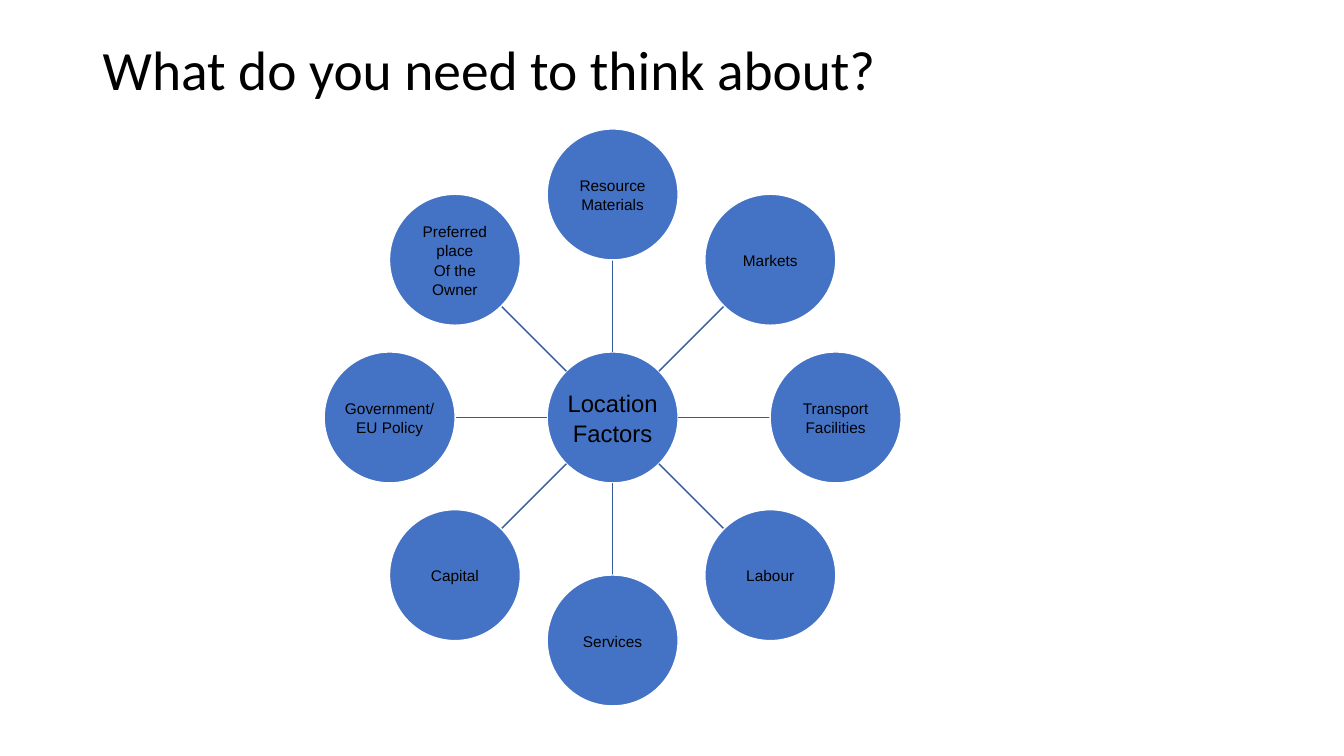
from dataclasses import dataclass
from math import cos, radians, sin

from lxml import etree
from pptx import Presentation
from pptx.dml.color import RGBColor
from pptx.enum.shapes import MSO_CONNECTOR, MSO_SHAPE
from pptx.enum.text import MSO_ANCHOR, PP_ALIGN
from pptx.oxml.ns import qn
from pptx.util import Cm, Pt

ELLIPSE = MSO_SHAPE.OVAL
STRAIGHT = MSO_CONNECTOR.STRAIGHT
MIDDLE = MSO_ANCHOR.MIDDLE
CENTER, LEFT = PP_ALIGN.CENTER, PP_ALIGN.LEFT

HUB_X, HUB_Y = 15.44, 10.52
RADIUS = 1.65
ORBIT = 5.62

# Clockwise from the top
FACTORS = [
    "Resource\nMaterials",
    "Markets",
    "Transport\nFacilities",
    "Labour",
    "Services",
    "Capital",
    "Government/\nEU Policy",
    "Preferred place\nOf the\nOwner",
]


@dataclass(frozen=True)
class Theme:
    text: RGBColor = RGBColor(0x00, 0x00, 0x00)
    circle: RGBColor = RGBColor(0x44, 0x72, 0xC4)
    outline: RGBColor = RGBColor(0xFF, 0xFF, 0xFF)
    spoke: RGBColor = RGBColor(0x36, 0x5B, 0x9D)
    title_font: str = "Calibri"
    body_font: str = "Arial"
    title_size: float = 39.6
    hub_size: float = 17
    factor_size: float = 11


class SlideBuilder:
    def __init__(self, slide, theme):
        self.slide = slide
        self.theme = theme

    def fill_text(self, text_frame, text, font_name, size, alignment, spacing):
        text_frame.text = text
        text_frame.word_wrap = True
        text_frame.vertical_anchor = MIDDLE
        for paragraph in text_frame.paragraphs:
            paragraph.alignment = alignment
            paragraph.line_spacing = spacing
            for run in paragraph.runs:
                run.font.name = font_name
                run.font.size = Pt(size)
                run.font.color.rgb = self.theme.text

    def title(self, text):
        box = self.slide.shapes.add_textbox(Cm(2.34), Cm(1.02), Cm(29.2), Cm(1.6))
        self.fill_text(box.text_frame, text, self.theme.title_font,
                       self.theme.title_size, LEFT, 0.9)

    def circle(self, center_x, center_y, text, size):
        shape = self.slide.shapes.add_shape(
            ELLIPSE, Cm(center_x - RADIUS), Cm(center_y - RADIUS),
            Cm(2 * RADIUS), Cm(2 * RADIUS))
        shape.shadow.inherit = False
        shape.fill.solid()
        shape.fill.fore_color.rgb = self.theme.circle
        shape.line.color.rgb = self.theme.outline
        shape.line.width = Pt(1)
        frame = shape.text_frame
        frame.margin_left = frame.margin_right = Cm(0.02)
        frame.margin_top = frame.margin_bottom = Cm(0.02)
        self.fill_text(frame, text, self.theme.body_font, size, CENTER, 1.05)

    def spoke(self, start, end):
        connector = self.slide.shapes.add_connector(
            STRAIGHT, *(Cm(value) for value in (*start, *end)))
        connector.line.color.rgb = self.theme.spoke
        connector.line.width = Pt(1)
        etree.SubElement(connector._element.spPr, qn("a:effectLst"))


def around_hub(distance, angle):
    """Return the point at a distance from the hub centre, angle in degrees."""
    return (HUB_X + distance * cos(radians(angle)),
            HUB_Y + distance * sin(radians(angle)))


def main():
    presentation = Presentation()
    presentation.slide_width = Cm(33.87)
    presentation.slide_height = Cm(19.05)
    slide = presentation.slides.add_slide(presentation.slide_layouts[6])
    theme = Theme()
    builder = SlideBuilder(slide, theme)

    builder.title("What do you need to think about?")
    builder.circle(HUB_X, HUB_Y, "Location\nFactors", theme.hub_size)
    for index, factor in enumerate(FACTORS):
        angle = index * 360 / len(FACTORS) - 90
        builder.spoke(around_hub(RADIUS, angle), around_hub(ORBIT - RADIUS, angle))
        builder.circle(*around_hub(ORBIT, angle), factor, theme.factor_size)

    presentation.save("out.pptx")


if __name__ == "__main__":
    main()
